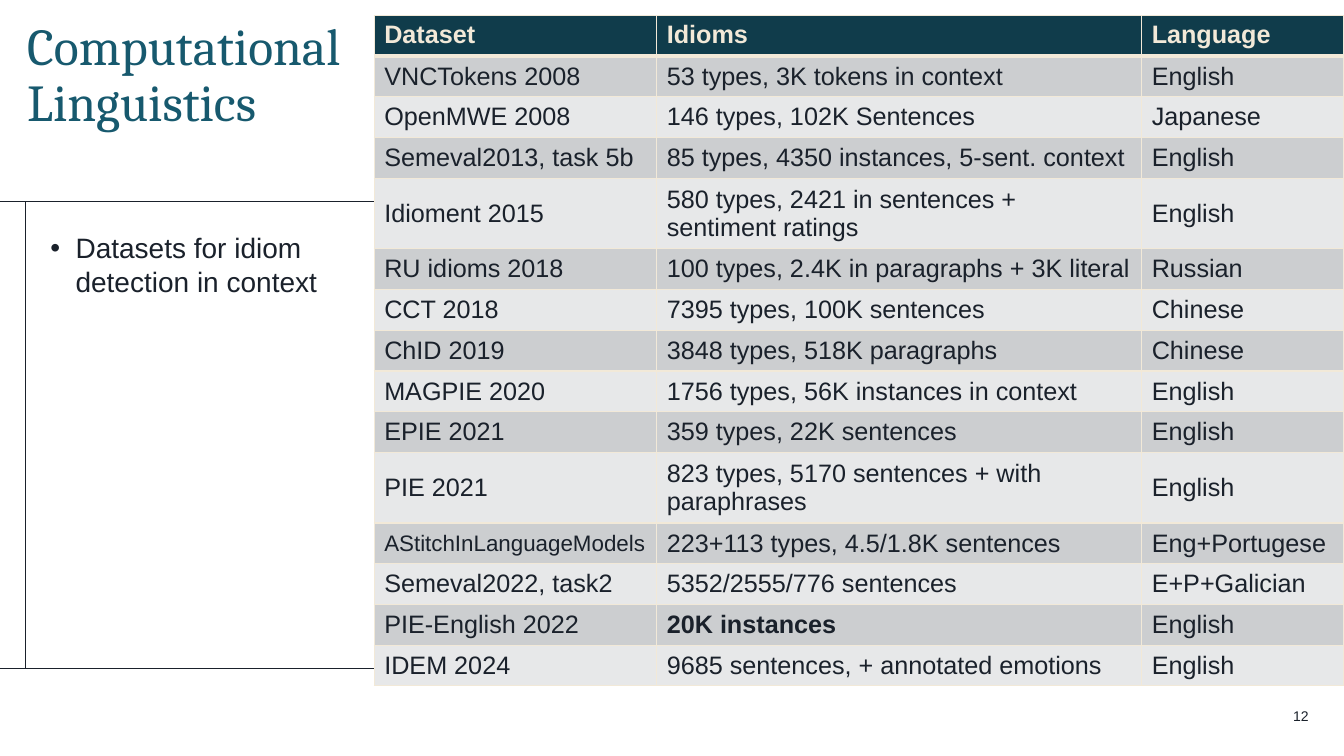
"""Build a slide with a table of idiom datasets used in computational linguistics."""
import pptx
import pptx.dml.color
import pptx.enum.shapes
import pptx.enum.text
import pptx.oxml
import pptx.oxml.ns
import pptx.util
import lxml.etree

Pt = pptx.util.Pt
qn = pptx.oxml.ns.qn
MIDDLE = pptx.enum.text.MSO_ANCHOR.MIDDLE
INK, CREAM, TEAL, TITLE_BLUE = "1A212B", "F2E9D8", "103C4B", "17596E"
BANDS = ("CCCED0", "E7E8E9")


def color(hex_string):
    return pptx.dml.color.RGBColor.from_string(hex_string)


def format_text(paragraph, size, hex_string, font="Arial", bold=False):
    for run in paragraph.runs:
        run.font.name = font
        run.font.size = Pt(size)
        run.font.bold = bold
        run.font.color.rgb = color(hex_string)


presentation = pptx.Presentation()
presentation.slide_width, presentation.slide_height = Pt(960), Pt(540)
slide = presentation.slides.add_slide(presentation.slide_layouts[6])

for x1, y1, x2, y2 in [(0, 144, 960, 144), (18, 144, 18, 477.4), (0, 477.4, 960, 477.4)]:
    rule = slide.shapes.add_connector(
        pptx.enum.shapes.MSO_CONNECTOR.STRAIGHT, Pt(x1), Pt(y1), Pt(x2), Pt(y2))
    rule.line.color.rgb = color(INK)
    rule.line.width = Pt(0.75)
    lxml.etree.SubElement(rule._element.spPr, qn("a:effectLst"))

text_boxes = []
for text, left, top, width, height, inset, size, hex_string, font in [
    ("Computational\vLinguistics", 19.4, 11.5, 922.3, 48.2, 0, 37, TITLE_BLUE, "Cambria"),
    ("Datasets for idiom detection in context", 36, 161.3, 242.6, 298.8, 0, 20, INK, "Arial"),
    ("12", 725.8, 500.4, 216, 21.6, 7.2, 10, INK, "Arial"),
]:
    box = slide.shapes.add_textbox(Pt(left), Pt(top), Pt(width), Pt(height))
    frame = box.text_frame
    frame.word_wrap = True
    frame.margin_left = frame.margin_right = Pt(inset)
    frame.text = text
    format_text(frame.paragraphs[0], size, hex_string, font)
    text_boxes.append(frame)

title, body, slide_number = text_boxes
title.paragraphs[0].line_spacing = 0.9
slide_number.vertical_anchor = MIDDLE
slide_number.paragraphs[0].alignment = pptx.enum.text.PP_ALIGN.RIGHT
body.paragraphs[0].space_before = Pt(6)
bullet_properties = body.paragraphs[0]._p.get_or_add_pPr()
bullet_properties.set("marL", str(Pt(18)))
bullet_properties.set("indent", str(Pt(-18)))
lxml.etree.SubElement(bullet_properties, qn("a:buFont"), typeface="Arial")
lxml.etree.SubElement(bullet_properties, qn("a:buChar"), char="•")

datasets = [
    ("Dataset", "Idioms", "Language"),
    ("VNCTokens 2008", "53 types, 3K tokens in context", "English"),
    ("OpenMWE 2008", "146 types, 102K Sentences", "Japanese"),
    ("Semeval2013, task 5b", "85 types, 4350 instances, 5-sent. context", "English"),
    ("Idioment 2015", "580 types, 2421 in sentences + sentiment ratings", "English"),
    ("RU idioms 2018", "100 types, 2.4K in paragraphs + 3K literal", "Russian"),
    ("CCT 2018", "7395 types, 100K sentences", "Chinese"),
    ("ChID 2019", "3848 types, 518K paragraphs", "Chinese"),
    ("MAGPIE 2020", "1756 types, 56K instances in context", "English"),
    ("EPIE 2021", "359 types, 22K sentences", "English"),
    ("PIE 2021", "823 types, 5170 sentences + with paraphrases", "English"),
    ("AStitchInLanguageModels", "223+113 types, 4.5/1.8K sentences", "Eng+Portugese"),
    ("Semeval2022, task2", "5352/2555/776 sentences", "E+P+Galician"),
    ("PIE-English 2022", "20K instances", "English"),
    ("IDEM 2024", "9685 sentences, + annotated emotions", "English"),
]
column_widths = (201.8, 346.4, 144.5)
header_height, row_height = 22.3, 29.1
table = slide.shapes.add_table(
    len(datasets), len(column_widths), Pt(267.3), Pt(11.2), Pt(sum(column_widths)),
    Pt(header_height + row_height * (len(datasets) - 1))).table
for column, width in zip(table.columns, column_widths):
    column.width = Pt(width)

for row_index, values in enumerate(datasets):
    is_header = row_index == 0
    table.rows[row_index].height = Pt(header_height if is_header else row_height)
    for column_index, value in enumerate(values):
        cell = table.cell(row_index, column_index)
        cell.text_frame.text = value
        format_text(
            cell.text_frame.paragraphs[0],
            16 if value == "AStitchInLanguageModels" else 18,
            CREAM if is_header else INK,
            bold=is_header or value == "20K instances")
        if not is_header:
            cell.vertical_anchor = MIDDLE
        cell_properties = cell._tc.get_or_add_tcPr()
        for side in ("lnL", "lnR", "lnT", "lnB"):
            thick = (is_header and side == "lnB") or (row_index == 1 and side == "lnT")
            border = lxml.etree.SubElement(
                cell_properties, qn("a:" + side), w=str(Pt(3 if thick else 1)))
            border_fill = lxml.etree.SubElement(border, qn("a:solidFill"))
            lxml.etree.SubElement(border_fill, qn("a:srgbClr"), val=CREAM)
        cell.fill.solid()
        cell.fill.fore_color.rgb = color(TEAL if is_header else BANDS[(row_index - 1) % 2])

presentation.save("out.pptx")
